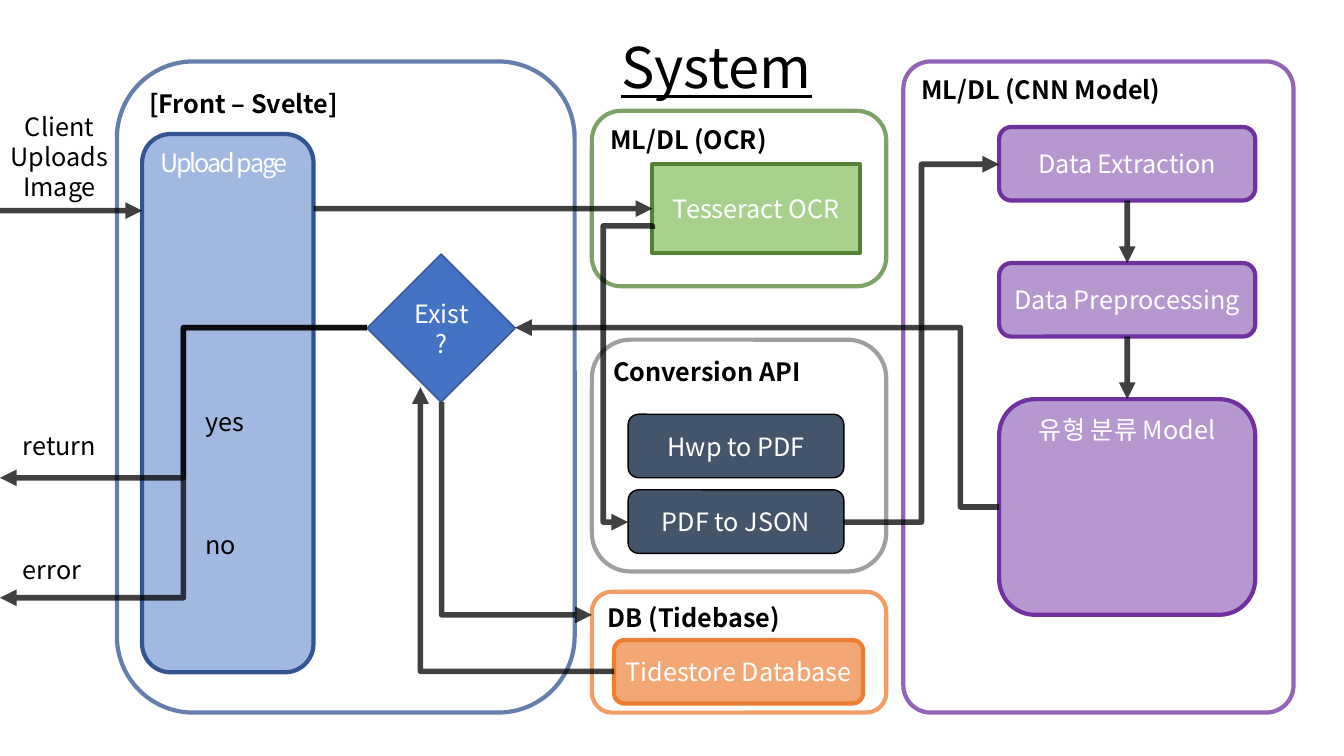
import math
import lxml.etree
import pptx
import pptx.dml.color
import pptx.enum.shapes
import pptx.enum.text
import pptx.oxml.ns
import pptx.util

FONT = "Noto Sans CJK KR"
ROUND = pptx.enum.shapes.MSO_SHAPE.ROUNDED_RECTANGLE
RECTANGLE = pptx.enum.shapes.MSO_SHAPE.RECTANGLE
DIAMOND = pptx.enum.shapes.MSO_SHAPE.DIAMOND
TITLE = ("System", (4.44, 0.21, 5.33, 0.89))

GROUPS = [
    ("[Front – Svelte]", (1.16, 0.61, 4.54, 6.46), "325491", 0.1667),
    ("ML/DL (OCR)", (5.87, 1.1, 2.92, 1.74), "548235", 0.1667),
    ("ML/DL (CNN Model)", (8.96, 0.61, 3.87, 6.46), "7030A0", 0.07),
    ("Conversion API", (5.87, 3.37, 2.92, 2.3), "808080", 0.1667),
    ("DB (Tidebase)", (5.87, 5.87, 2.92, 1.2), "ED7D31", 0.1667),
]

BLUE = dict(fill="4472C4", line="325491")
GREEN = dict(fill="A9D18E", line="548235", weight=3)
SLATE = dict(fill="44546A", line="000000")
PURPLE = dict(fill="7030A0", opacity=50, line="7030A0", weight=3)
ORANGE = dict(fill="ED7D31", opacity=67, line="ED7D31", weight=3)

BOXES = [
    ("Exist?", DIAMOND, (3.64, 2.52, 1.47, 1.47), BLUE, {}),
    ("Upload page", ROUND, (1.41, 1.33, 1.7, 5.34), dict(BLUE, opacity=50, weight=3),
     dict(align="LEFT", anchor="TOP", spacing=-1.5)),
    ("Tesseract OCR", RECTANGLE, (6.47, 1.63, 2.06, 0.88), GREEN, {}),
    ("Hwp to PDF", ROUND, (6.23, 4.11, 2.14, 0.63), SLATE, {}),
    ("PDF to JSON", ROUND, (6.23, 4.86, 2.14, 0.63), SLATE, {}),
    ("Tidestore Database", ROUND, (6.09, 6.35, 2.47, 0.63), ORANGE, dict(margin=0.03)),
    ("Data Extraction", ROUND, (9.91, 1.26, 2.54, 0.73), PURPLE, {}),
    ("Data Preprocessing", ROUND, (9.91, 2.61, 2.54, 0.73), PURPLE, {}),
    ("유형 분류 Model", ROUND, (9.91, 3.96, 2.54, 2.14), PURPLE, dict(anchor="TOP")),
]

STRAIGHT_ARROWS = [
    ((0, 2.09), (1.41, 2.09), None, None),
    ((3.11, 2.07), (6.47, 2.07), None, ("Tesseract OCR", 1)),
    ((11.18, 1.99), (11.18, 2.61), ("Data Extraction", 2), ("Data Preprocessing", 0)),
    ((11.18, 3.34), (11.18, 3.96), ("Data Preprocessing", 2), ("유형 분류 Model", 0)),
]

BENT_ARROWS = [
    ((6.47, 2.27), (6.23, 5.18), "bentConnector4", 90, (-0.01, 2.03)),
    ((8.37, 5.18), (9.91, 1.63), "bentConnector3", 0, (0.5,)),
    ((4.38, 3.99), (5.87, 6.1), "bentConnector3", 270, (1.0,)),
    ((6.09, 6.66), (4.17, 3.84), "bentConnector2", 0, ()),
    ((3.64, 3.25), (0, 4.74), "bentConnector3", 0, (0.5,)),
    ((3.64, 3.25), (0, 5.93), "bentConnector3", 0, (0.5,)),
    ((9.91, 5.03), (5.11, 3.25), "bentConnector3", 0, (0.08,)),
]

LABELS = [
    ("Client\nUploads\nImage", (0, 1.05, 1.18, 1.01), dict(align="CENTER", margin=0.05)),
    ("no", (1.94, 5.2, 0.53, 0.4), {}),
    ("yes", (1.94, 3.98, 0.69, 0.4), {}),
    ("return", (0.13, 4.22, 1, 0.4), {}),
    ("error", (0.13, 5.45, 1, 0.4), {}),
]


def inches(values):
    return [pptx.util.Inches(value) for value in values]


def set_color(target, value, opacity=100):
    target.solid()
    target.fore_color.rgb = pptx.dml.color.RGBColor.from_string(value)
    if opacity < 100:
        color = target.fore_color._xFill.find(pptx.oxml.ns.qn("a:srgbClr"))
        add_element(color, "a:alpha", val=opacity * 1000)


def add_element(parent, tag, **attributes):
    element = lxml.etree.SubElement(parent, pptx.oxml.ns.qn(tag))
    for name, value in attributes.items():
        element.set(name, str(value))
    return element


def write_text(shape, text, color="000000", size=18, bold=False, underline=False,
               align="LEFT", anchor="TOP", margin=0.1, spacing=0):
    frame = shape.text_frame
    frame.auto_size = pptx.enum.text.MSO_AUTO_SIZE.NONE
    frame.word_wrap = True
    frame.vertical_anchor = getattr(pptx.enum.text.MSO_ANCHOR, anchor)
    frame.margin_left = frame.margin_right = pptx.util.Inches(margin)
    frame.margin_top = frame.margin_bottom = pptx.util.Inches(0.05)
    frame.text = text
    for paragraph in frame.paragraphs:
        paragraph.alignment = getattr(pptx.enum.text.PP_ALIGN, align)
        paragraph.line_spacing = pptx.util.Pt(size * 1.2)
        paragraph.space_before = pptx.util.Pt(0)
        for run in paragraph.runs:
            font = run.font
            font.name = FONT
            font.size = pptx.util.Pt(size)
            font.bold = bold
            font.underline = underline
            set_color(font.fill, color)
            properties = run._r.get_or_add_rPr()
            add_element(properties, "a:ea", typeface=FONT)
            if spacing:
                properties.set("spc", str(int(spacing * 100)))


def add_box(slide, preset, place, line, fill=None, opacity=100, weight=1, line_opacity=100):
    shape = slide.shapes.add_shape(preset, *inches(place))
    shape.shadow.inherit = False
    if fill:
        set_color(shape.fill, fill, opacity)
    else:
        shape.fill.background()
    set_color(shape.line.fill, line, line_opacity)
    shape.line.width = pptx.util.Pt(weight)
    return shape


def add_arrow(slide, kind, start, end):
    connector = slide.shapes.add_connector(kind, *inches(start + end))
    set_color(connector.line.fill, "000000", 75)
    connector.line.width = pptx.util.Pt(4)
    add_element(connector.line._get_or_add_ln(), "a:tailEnd", type="triangle")
    add_element(connector._element.spPr, "a:effectLst")
    return connector


def add_bent_arrow(slide, start, end, preset, turn, bends):
    center_x, center_y = (start[0] + end[0]) / 2, (start[1] + end[1]) / 2
    cosine, sine = math.cos(math.radians(turn)), math.sin(math.radians(turn))
    unturned = []
    for x, y in (start, end):
        x, y = x - center_x, y - center_y
        unturned.append((center_x + x * cosine + y * sine, center_y - x * sine + y * cosine))
    connector = add_arrow(slide, pptx.enum.shapes.MSO_CONNECTOR.ELBOW, *unturned)
    properties = connector._element.spPr
    if turn:
        properties.find(pptx.oxml.ns.qn("a:xfrm")).set("rot", str(turn * 60000))
    geometry = properties.find(pptx.oxml.ns.qn("a:prstGeom"))
    geometry.set("prst", preset)
    for guide in list(geometry):
        geometry.remove(guide)
    guides = add_element(geometry, "a:avLst")
    for number, bend in enumerate(bends, 1):
        add_element(guides, "a:gd", name=f"adj{number}", fmla=f"val {round(bend * 100000)}")


def main():
    presentation = pptx.Presentation()
    presentation.slide_width, presentation.slide_height = inches((13.33, 7.5))
    slide = presentation.slides.add_slide(presentation.slide_layouts[5])

    text, place = TITLE
    title = slide.shapes.title
    title.left, title.top, title.width, title.height = inches(place)
    write_text(title, text, size=40, underline=True, align="CENTER", anchor="MIDDLE")

    for text, place, color, corner in GROUPS:
        group = add_box(slide, ROUND, place, color, weight=3, line_opacity=75)
        group.adjustments[0] = corner
        write_text(group, text, bold=True)

    boxes = {}
    for text, preset, place, style, text_format in BOXES:
        boxes[text] = add_box(slide, preset, place, **style)
        write_text(boxes[text], text, **{"color": "FFFFFF", "align": "CENTER",
                                         "anchor": "MIDDLE", **text_format})

    for start, end, source, target in STRAIGHT_ARROWS:
        arrow = add_arrow(slide, pptx.enum.shapes.MSO_CONNECTOR.STRAIGHT, start, end)
        if source:
            arrow.begin_connect(boxes[source[0]], source[1])
        if target:
            arrow.end_connect(boxes[target[0]], target[1])

    for bent_arrow in BENT_ARROWS:
        add_bent_arrow(slide, *bent_arrow)

    for text, place, text_format in LABELS:
        write_text(slide.shapes.add_textbox(*inches(place)), text, **text_format)

    presentation.save("out.pptx")


if __name__ == "__main__":
    main()
